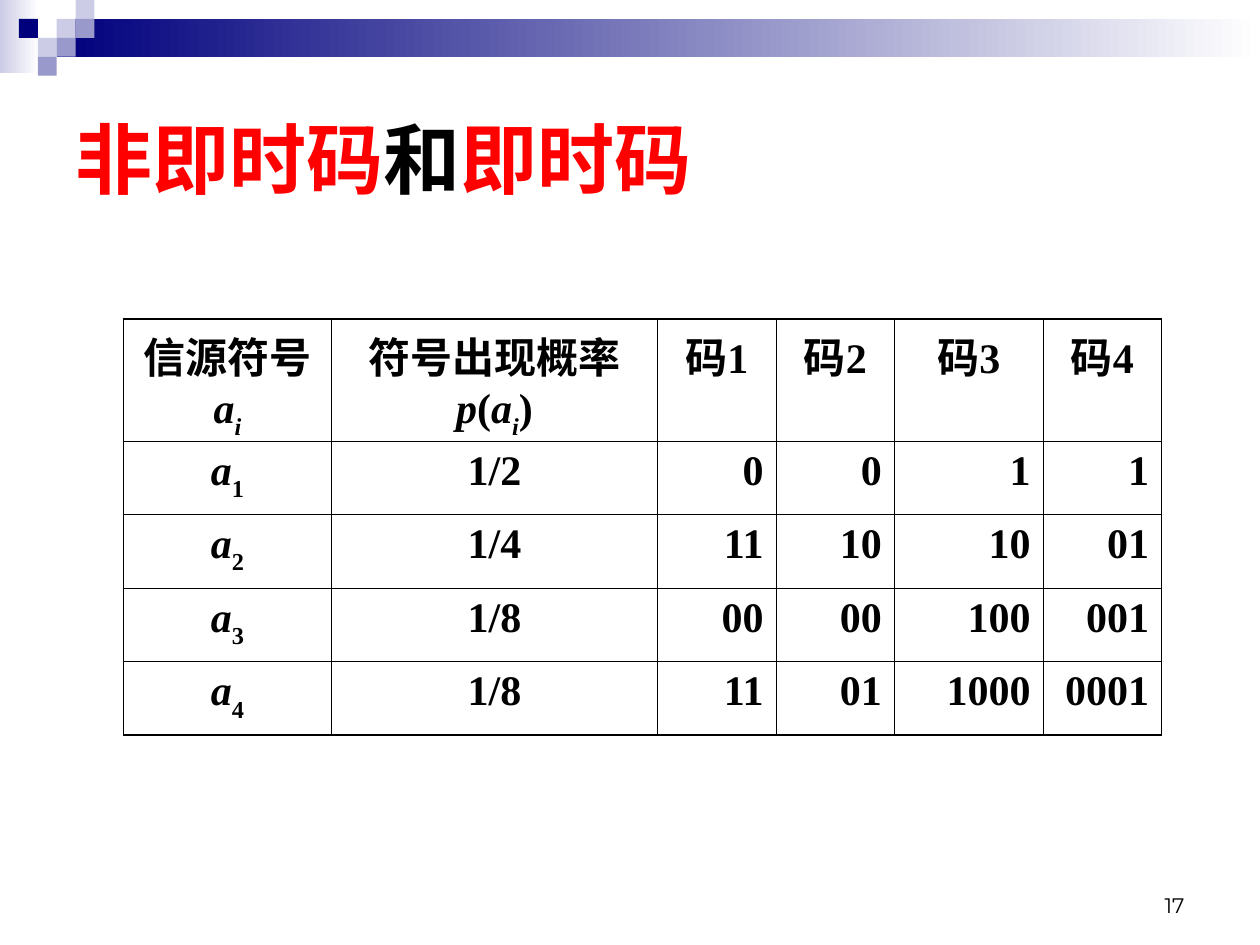
from lxml.etree import SubElement
from pptx import Presentation
from pptx.dml.color import RGBColor
from pptx.enum.shapes import MSO_SHAPE as Shape
from pptx.enum.text import MSO_ANCHOR as Anchor, PP_ALIGN as Align
from pptx.oxml.ns import qn
from pptx.util import Inches, Pt

BLACK, RED, WHITE = "000000", "FF0000", "FFFFFF"
NAVY, VIOLET, LILAC = "00007D", "9999CC", "CCCCE6"
SERIF, SANS = "Times New Roman", "Montserrat"
THIN, THICK = 0.45, 0.96
SQUARE = 0.15
SQUARES = [
    (3, 1, LILAC), (4, 0, LILAC), (4, 1, VIOLET), (2, 2, LILAC),
    (1, 1, NAVY), (3, 2, VIOLET), (2, 3, VIOLET),
]
COLUMNS = [1.65, 2.59, 0.94, 0.94, 1.18, 0.94]
ROWS = [0.97, 0.58, 0.59, 0.58, 0.58]
CODES = [
    ("1/2", "0", "0", "1", "1"),
    ("1/4", "11", "10", "10", "01"),
    ("1/8", "00", "00", "100", "001"),
    ("1/8", "11", "01", "1000", "0001"),
]


def color(value):
    return RGBColor.from_string(value)


def plain(text):
    return [(text, "")]


class SlideBuilder:
    """Holds the style and the current slide, and adds each kind of element."""

    def __init__(self, page):
        self.page = page

    def rectangle(self, left, top, width, height, *colors):
        box = self.page.shapes.add_shape(
            Shape.RECTANGLE, Inches(left), Inches(top), Inches(width), Inches(height))
        box.shadow.inherit = False
        box.line.fill.background()
        if len(colors) == 1:
            box.fill.solid()
            box.fill.fore_color.rgb = color(colors[0])
            return
        box.fill.gradient()
        box.fill.gradient_angle = 0
        for stop, value in zip(box.fill.gradient_stops, colors):
            stop.color.rgb = color(value)

    def span(self, para, text, size, font=SERIF, value=BLACK, bold=True):
        span = para.add_run()
        span.text = text
        span.font.size = Pt(size)
        span.font.name = font
        span.font.bold = bold
        span.font.color.rgb = color(value)
        return span

    def text(self, left, top, width, height, anchor, align, spans, **style):
        box = self.page.shapes.add_textbox(
            Inches(left), Inches(top), Inches(width), Inches(height))
        frame = box.text_frame
        frame.word_wrap = True
        frame.vertical_anchor = anchor
        para = frame.paragraphs[0]
        para.alignment = align
        for text, value in spans:
            self.span(para, text, value=value, **style)

    def borders(self, cell, **widths):
        properties = cell._tc.get_or_add_tcPr()
        for side in "LRTB":
            line = SubElement(properties, qn(f"a:ln{side}"), w=str(Pt(widths[side])))
            fill = SubElement(line, qn("a:solidFill"))
            SubElement(fill, qn("a:srgbClr"), val=BLACK)

    def cell(self, cell, spans, align):
        cell.fill.background()
        para = cell.text_frame.paragraphs[0]
        para.alignment = align
        for text, marks in spans:
            span = self.span(para, text, 24)
            span.font.italic = "i" in marks
            if "sub" in marks:
                span.font._element.set("baseline", "-30000")

    def table(self, left, top, columns, rows, contents):
        table = self.page.shapes.add_table(
            len(rows), len(columns), Inches(left), Inches(top),
            Inches(sum(columns)), Inches(sum(rows))).table
        table.first_row = table.horz_banding = False
        for column, width in zip(table.columns, columns):
            column.width = Inches(width)
        for row, height in zip(table.rows, rows):
            row.height = Inches(height)
        last_row, last_column = len(rows) - 1, len(columns) - 1
        for r, line in enumerate(contents):
            for c, spans in enumerate(line):
                cell = table.cell(r, c)
                self.borders(
                    cell,
                    L=THICK if c == 0 else THIN,
                    R=THICK if c == last_column else THIN,
                    T=THICK if r <= 1 else THIN,
                    B=THICK if r in (0, last_row) else THIN)
                self.cell(cell, spans, Align.RIGHT if r and c > 1 else Align.CENTER)


def table_contents():
    symbol = [("a", "i"), ("i", "i sub")]
    header = [
        plain("信源符号") + symbol,
        plain("符号出现概率") + [("p", "i"), ("(", "")] + symbol + plain(")"),
    ]
    header += [plain(f"码{number}") for number in range(1, 5)]
    body = [
        [[("a", "i"), (str(number), "sub")]] + [plain(text) for text in line]
        for number, line in enumerate(CODES, 1)
    ]
    return [header] + body


def main():
    deck = Presentation()
    deck.slide_width, deck.slide_height = Inches(10), Inches(7.5)
    builder = SlideBuilder(deck.slides.add_slide(deck.slide_layouts[6]))
    builder.rectangle(0, 0, 0.31, 0.58, LILAC, WHITE)
    builder.rectangle(0.45, 0.15, 9.55, 0.3, NAVY, WHITE)
    for column, row, value in SQUARES:
        builder.rectangle(column * SQUARE, row * SQUARE, SQUARE, SQUARE, value)
    builder.text(7.17, 6.83, 2.33, 0.5, Anchor.BOTTOM, Align.RIGHT,
                 [("17", BLACK)], size=12, font=SANS, bold=False)
    builder.text(0.5, 0.5, 9, 1.5, Anchor.MIDDLE, Align.LEFT,
                 [("非即时码", RED), ("和", BLACK), ("即时码", RED)], size=44)
    builder.table(0.98, 2.53, COLUMNS, ROWS, table_contents())
    deck.save("out.pptx")


if __name__ == "__main__":
    main()
